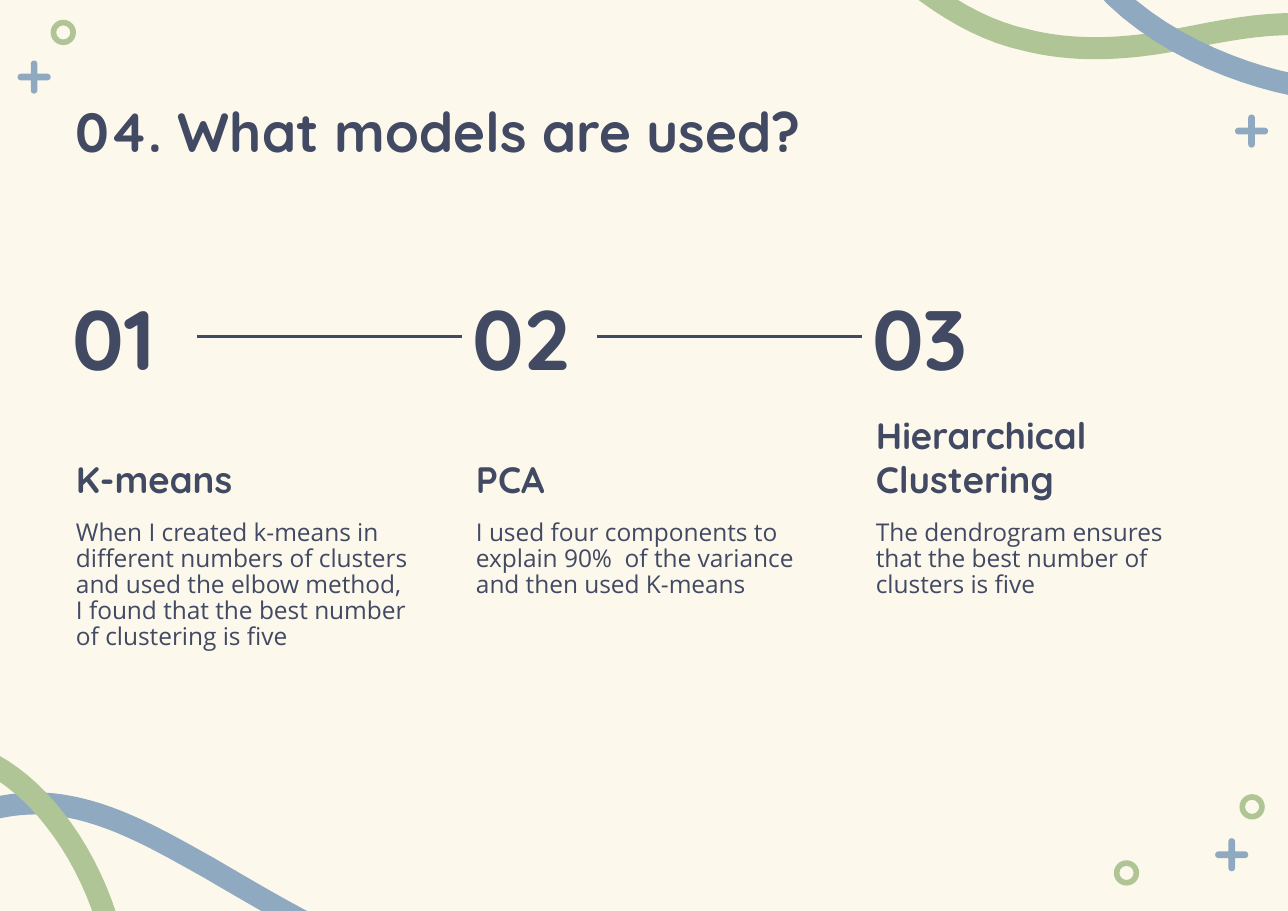
"""Build the slide that introduces the three models used."""
from dataclasses import dataclass
from math import cos, hypot, radians, sin

from lxml import etree
from pptx import Presentation
from pptx.dml.color import RGBColor
from pptx.enum.shapes import MSO_CONNECTOR, MSO_SHAPE
from pptx.enum.text import MSO_ANCHOR, MSO_AUTO_SIZE, PP_ALIGN
from pptx.oxml.ns import qn
from pptx.shapes.autoshape import Shape
from pptx.slide import Slide
from pptx.util import Inches, Pt

STRAIGHT = MSO_CONNECTOR.STRAIGHT
DONUT = MSO_SHAPE.DONUT
TOP, MIDDLE, BOTTOM = MSO_ANCHOR.TOP, MSO_ANCHOR.MIDDLE, MSO_ANCHOR.BOTTOM
LEFT = PP_ALIGN.LEFT
NO_AUTOFIT = MSO_AUTO_SIZE.NONE

CREAM = RGBColor(0xFC, 0xF8, 0xEB)
NAVY = RGBColor(0x42, 0x49, 0x63)
BLUE = RGBColor(0x8F, 0xA9, 0xC0)
GREEN = RGBColor(0xAF, 0xC5, 0x96)

Point = tuple[float, float]
Box = tuple[float, float, float, float]

MARGIN, COLUMN_STEP, COLUMN_WIDTH = 0.56, 3.63, 3.3
RING_SIZE, RING_BAND = 0.23, 0.22
PLUS_REACH, PLUS_RADIUS = 0.12, 0.03
RIBBON_HALF_WIDTH, CURVE_STEPS = 0.1, 16
RIGHT_SIDE, LEFT_SIDE = 3, 1


@dataclass(frozen=True)
class TextStyle:
    """Look of one kind of text."""
    font: str
    size: float
    bold: bool
    anchor: MSO_ANCHOR
    inset: float
    spacing: float = 1.0


@dataclass(frozen=True)
class Model:
    """One model and what it showed."""
    number: str
    name: str
    finding: str


@dataclass(frozen=True)
class Ribbon:
    """Band of even width along a chain of cubic curves."""
    color: RGBColor
    controls: list[Point]


TITLE = TextStyle("Quicksand", 36, True, TOP, 0.13)
NUMBER = TextStyle("Quicksand", 55, True, MIDDLE, 0.1)
NAME = TextStyle("Quicksand", 24, True, BOTTOM, 0.13)
FINDING = TextStyle("Open Sans", 16, False, TOP, 0.13, 0.88)

MODELS = [
    Model("01", "K-means", "When I created k-means in different numbers of clusters and used "
          "the elbow method, I found that the best number of clustering is five"),
    Model("02", "PCA", "I used four components to explain 90%  of the variance "
          "and then used K-means"),
    Model("03", "Hierarchical Clustering", "The dendrogram ensures that the best number "
          "of clusters is five"),
]

RIBBONS = [
    Ribbon(BLUE, [(-0.5, 7.54), (-0.27, 7.36), (0.15, 7.25), (0.55, 7.31),
                  (1.03, 7.38), (1.47, 7.64), (1.9, 7.88),
                  (2.55, 8.26), (3.1, 8.59), (3.74, 8.78)]),
    Ribbon(GREEN, [(7.6, -0.85), (8.1, -0.25), (8.7, 0.23), (9.3, 0.36),
                   (9.72, 0.47), (10.2, 0.46), (10.74, 0.35),
                   (11.4, 0.22), (12.2, 0.05), (12.66, 0.6)]),
    Ribbon(BLUE, [(12.88, 0.76), (12.5, 0.78), (12.1, 0.85), (11.74, 0.77),
                  (11, 0.62), (9.95, 0.13), (9.67, -0.73)]),
    Ribbon(GREEN, [(-0.15, 6.9), (0.3, 7.1), (0.75, 7.65), (0.97, 8.35)]),
]
PLUS_CENTERS = [(0.31, 0.7), (11.18, 7.76), (11.36, 1.19)]
RING_CORNERS = [(0.46, 0.18), (11.25, 7.21), (10.11, 7.81)]


def edge_points(controls: list[Point], t: float) -> tuple[Point, Point]:
    """Return the two ribbon edges beside the point at t on a cubic curve."""
    while len(controls) > 2:
        controls = [(x + (next_x - x) * t, y + (next_y - y) * t)
                    for (x, y), (next_x, next_y) in zip(controls, controls[1:])]
    (x, y), (next_x, next_y) = controls
    along, down = next_x - x, next_y - y
    reach = RIBBON_HALF_WIDTH / hypot(along, down)
    middle_x, middle_y = x + along * t, y + down * t
    return ((middle_x - down * reach, middle_y + along * reach),
            (middle_x + down * reach, middle_y - along * reach))


def ribbon_outline(ribbon: Ribbon) -> list[Point]:
    """Return the points along one edge of a ribbon and back along the other."""
    edges = [edge_points(ribbon.controls[start:start + 4], step / CURVE_STEPS)
             for start in range(0, len(ribbon.controls) - 1, 3)
             for step in range(CURVE_STEPS + 1)]
    return [near for near, _ in edges] + [far for _, far in reversed(edges)]


def plus_outline(center: Point) -> list[Point]:
    """Return the edge of a plus sign whose four arms have round ends."""
    cap = [(PLUS_REACH + PLUS_RADIUS * cos(radians(angle)), PLUS_RADIUS * sin(radians(angle)))
           for angle in range(-90, 91, 15)]
    arm = [*cap, (PLUS_RADIUS, PLUS_RADIUS)]
    turns = [(1, 0), (0, 1), (-1, 0), (0, -1)]
    return [(center[0] + x * c - y * s, center[1] + x * s + y * c)
            for c, s in turns for x, y in arm]


def paint(shape: Shape, color: RGBColor) -> None:
    """Give a decoration a plain fill."""
    shape.shadow.inherit = False
    shape.fill.solid()
    shape.fill.fore_color.rgb = color
    shape.line.fill.background()


def draw_outline(slide: Slide, outline: list[Point], color: RGBColor) -> None:
    """Draw a closed, filled outline."""
    first, *others = [(Inches(x), Inches(y)) for x, y in outline]
    builder = slide.shapes.build_freeform(*first)
    builder.add_line_segments(others, close=True)
    paint(builder.convert_to_shape(), color)


def draw_ring(slide: Slide, corner: Point) -> None:
    """Draw a small ring."""
    ring = slide.shapes.add_shape(DONUT, *map(Inches, (*corner, RING_SIZE, RING_SIZE)))
    ring.adjustments[0] = RING_BAND
    paint(ring, GREEN)


def write(holder: Shape, text: str, style: TextStyle) -> None:
    """Put styled text into a text box or placeholder."""
    frame = holder.text_frame
    frame.text = text
    paragraph = frame.paragraphs[0]
    font = paragraph.runs[0].font
    inset = Inches(style.inset)
    formats = [
        (frame, {"word_wrap": True, "auto_size": NO_AUTOFIT, "vertical_anchor": style.anchor,
                 "margin_left": inset, "margin_right": inset,
                 "margin_top": inset, "margin_bottom": inset}),
        (paragraph, {"alignment": LEFT, "line_spacing": style.spacing}),
        (font, {"name": style.font, "size": Pt(style.size), "bold": style.bold}),
    ]
    for target, values in formats:
        for attribute, value in values.items():
            setattr(target, attribute, value)
    font.color.rgb = NAVY


def add_text(slide: Slide, box: Box, text: str, style: TextStyle) -> Shape:
    """Add a text box."""
    holder = slide.shapes.add_textbox(*map(Inches, box))
    write(holder, text, style)
    return holder


def add_model(slide: Slide, left: float, model: Model) -> Shape:
    """Add one model column and return its number."""
    add_text(slide, (left, 4.6, COLUMN_WIDTH, 1.83), model.finding, FINDING)
    add_text(slide, (left, 3.73, COLUMN_WIDTH, 0.95), model.name, NAME)
    return add_text(slide, (left, 2.61, 1.23, 0.89), model.number, NUMBER)


def join(slide: Slide, before: Shape, after: Shape) -> None:
    """Draw the line from one number to the next."""
    link = slide.shapes.add_connector(STRAIGHT, 0, 0, 0, 0)
    link.begin_connect(before, RIGHT_SIDE)
    link.end_connect(after, LEFT_SIDE)
    link.line.color.rgb = NAVY
    link.line.width = Pt(2.25)
    etree.SubElement(link._element.spPr, qn("a:effectLst"))


def main() -> None:
    """Build and save the slide."""
    deck = Presentation()
    deck.slide_width, deck.slide_height = Inches(11.69), Inches(8.27)
    slide = deck.slides.add_slide(deck.slide_layouts.get_by_name("Title Only"))
    slide.background.fill.solid()
    slide.background.fill.fore_color.rgb = CREAM

    for ribbon in RIBBONS:
        draw_outline(slide, ribbon_outline(ribbon), ribbon.color)
    for center in PLUS_CENTERS:
        draw_outline(slide, plus_outline(center), BLUE)
    for corner in RING_CORNERS:
        draw_ring(slide, corner)

    title = slide.shapes.title
    title.left, title.top, title.width, title.height = map(Inches, (MARGIN, 0.75, 10.56, 0.89))
    write(title, "04. What models are used?", TITLE)

    numbers = [add_model(slide, MARGIN + column * COLUMN_STEP, model)
               for column, model in enumerate(MODELS)]
    for before, after in zip(numbers, numbers[1:]):
        join(slide, before, after)
    deck.save("out.pptx")


if __name__ == "__main__":
    main()
